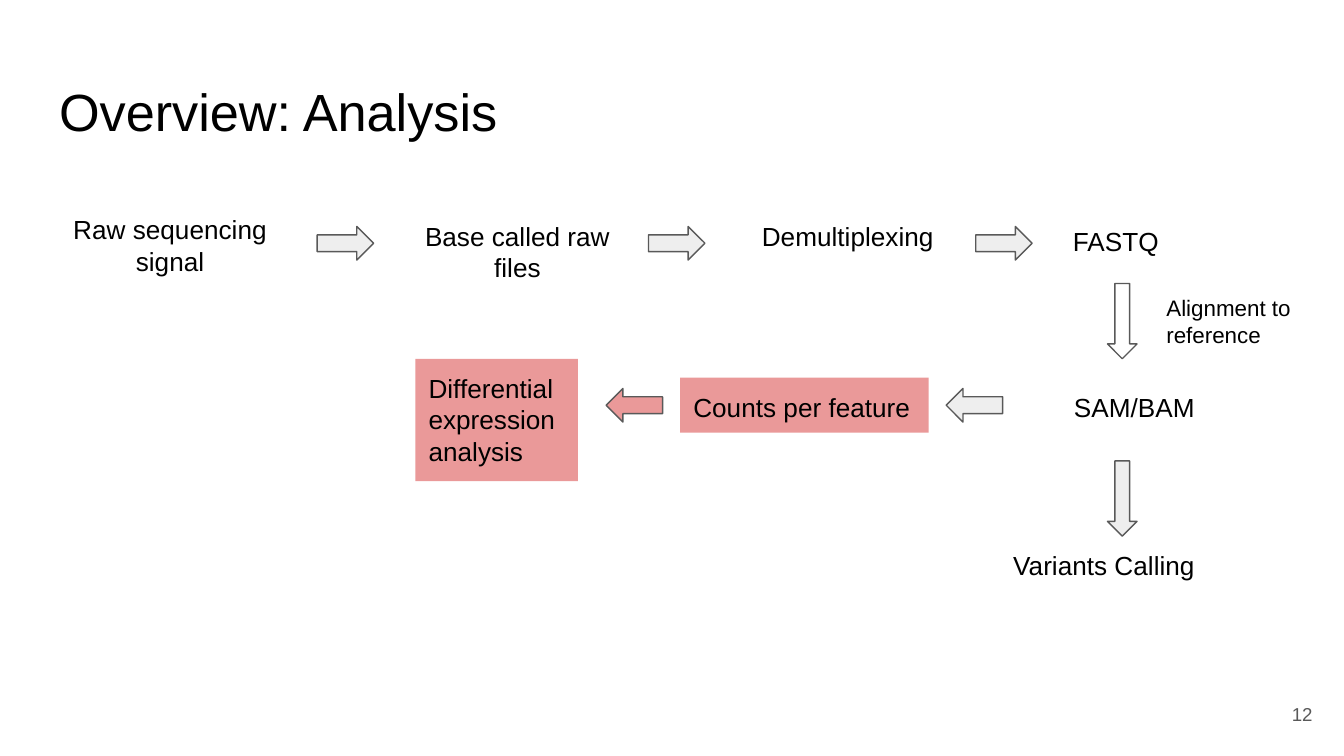
from pptx import Presentation
from pptx.dml.color import RGBColor
from pptx.enum.shapes import MSO_SHAPE
from pptx.enum.text import MSO_ANCHOR, MSO_AUTO_SIZE, PP_ALIGN
from pptx.util import Emu, Pt

SCALE = 4572
PINK, GREY, DARK = "EA9999", "EEEEEE", "595959"
LEFT, MID, RIGHT = PP_ALIGN.LEFT, PP_ALIGN.CENTER, PP_ALIGN.RIGHT


def px(*nums):
    return [Emu(n * SCALE) for n in nums]


def color(code):
    return RGBColor.from_string(code)


def write(shape, text, size=14, ink="000000", align=LEFT,
          anchor=MSO_ANCHOR.TOP):
    frame = shape.text_frame
    frame.word_wrap = True
    frame.auto_size = MSO_AUTO_SIZE.NONE
    frame.vertical_anchor = anchor
    inset, = px(20)
    frame.margin_left = frame.margin_right = inset
    frame.margin_top = frame.margin_bottom = inset
    para = frame.paragraphs[0]
    para.alignment = align
    para.line_spacing = 1.0
    run = para.add_run()
    run.text = text
    run.font.name = "Arial"
    run.font.size = Pt(size)
    run.font.color.rgb = color(ink)


class Deck:
    def __init__(self, wide, high):
        self.file = Presentation()
        self.file.slide_width, self.file.slide_height = px(wide, high)
        self.slide = self.file.slides.add_slide(self.file.slide_layouts[5])

    def title(self, box, text):
        shape = self.slide.shapes.title
        shape.left, shape.top, shape.width, shape.height = px(*box)
        write(shape, text, size=28)

    def label(self, box, text, **style):
        write(self.slide.shapes.add_textbox(*px(*box)), text, **style)

    def shape(self, kind, box, fill=None, line=None):
        shape = self.slide.shapes.add_shape(kind, *px(*box))
        shape.shadow.inherit = False
        if fill:
            shape.fill.solid()
            shape.fill.fore_color.rgb = color(fill)
        else:
            shape.fill.background()
        if line:
            shape.line.color.rgb = color(line)
            shape.line.width = Pt(0.75)
        else:
            shape.line.fill.background()
        return shape

    def card(self, box, text):
        write(self.shape(MSO_SHAPE.RECTANGLE, box, PINK), text)

    def arrow(self, kind, box, fill=GREY):
        self.shape(kind, box, fill, DARK)


def main():
    deck = Deck(2000, 1125)
    deck.title((68, 98, 1864, 126), "Overview: Analysis")

    for box, text, align in (
        ((68, 298, 370, 90), "Raw sequencing signal", MID),
        ((585, 308, 370, 90), "Base called raw files", MID),
        ((1114, 308, 296, 90), "Demultiplexing", LEFT),
        ((1577, 316, 192, 82), "FASTQ", LEFT),
        ((1503, 562, 370, 82), "SAM/BAM", MID),
        ((1488, 798, 370, 82), "Variants Calling", LEFT),
    ):
        deck.label(box, text, align=align)

    deck.card((1012, 562, 370, 82), "Counts per feature")
    deck.card((618, 534, 242, 182), "Differential expression analysis")

    for left in (472, 965, 1452):
        deck.arrow(MSO_SHAPE.RIGHT_ARROW, (left, 337, 84, 50))
    for top, fill in ((422, None), (686, GREY)):
        deck.arrow(MSO_SHAPE.DOWN_ARROW, (1648, top, 44, 112), fill)
    for left, fill in ((1408, GREY), (902, PINK)):
        deck.arrow(MSO_SHAPE.LEFT_ARROW, (left, 578, 84, 50), fill)

    deck.label((1716, 418, 242, 126), "Alignment to reference", size=12)
    deck.label((1853, 1020, 120, 86), "12", size=10, ink=DARK, align=RIGHT,
               anchor=MSO_ANCHOR.MIDDLE)
    deck.file.save("out.pptx")


if __name__ == "__main__":
    main()
